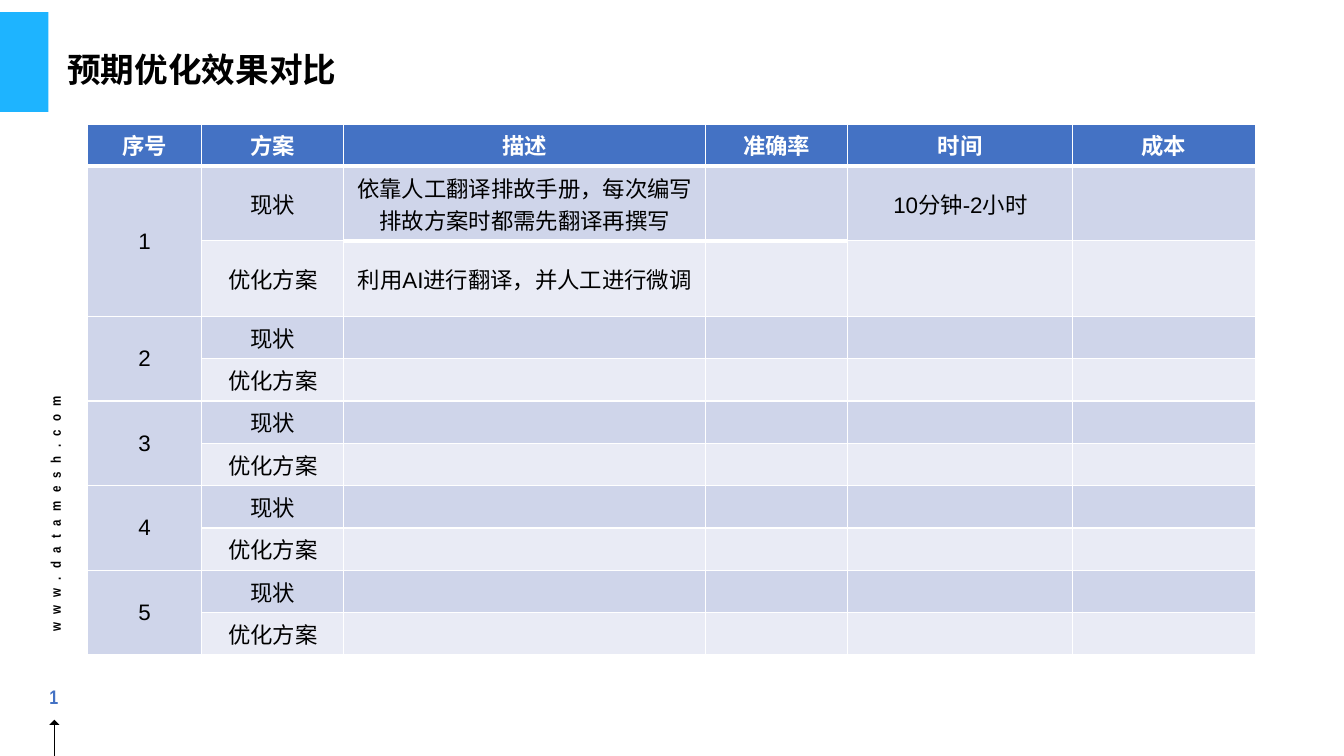
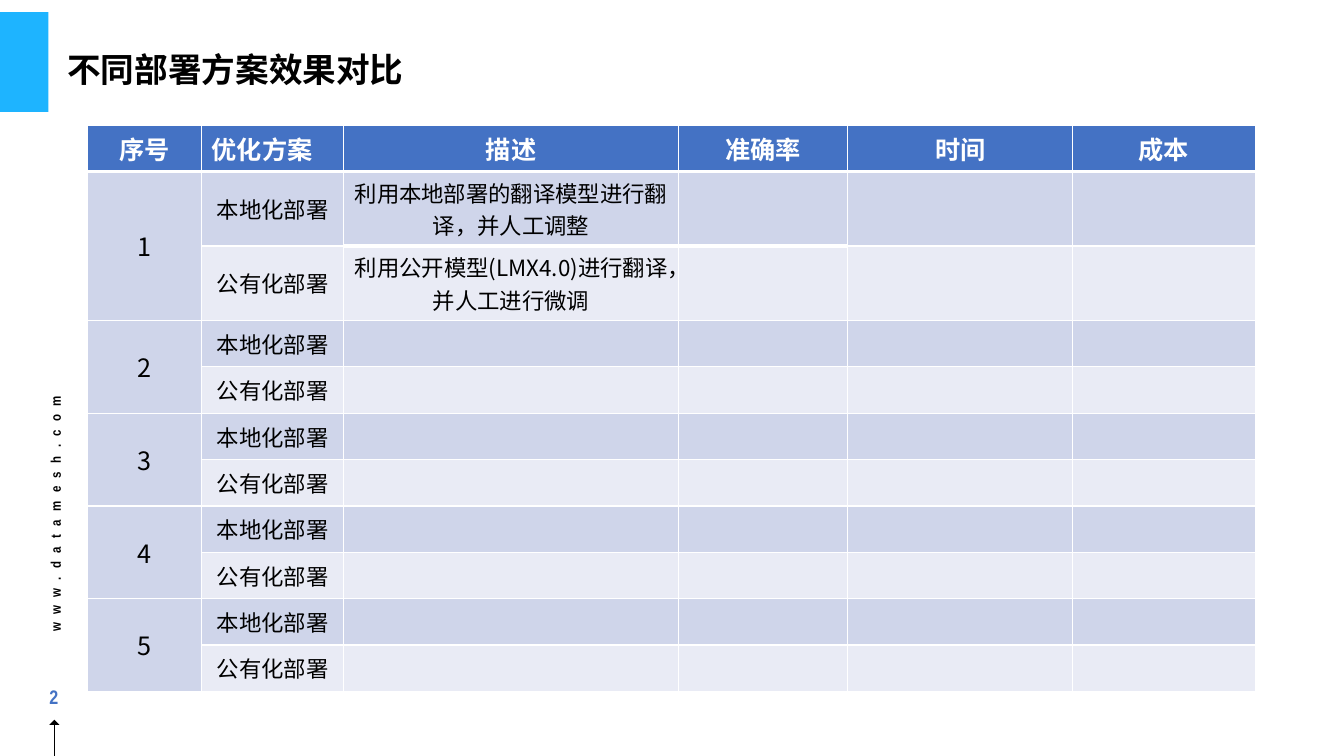
from lxml.etree import SubElement
from pptx import Presentation
from pptx.dml.color import RGBColor
from pptx.enum.shapes import MSO_CONNECTOR, MSO_SHAPE
from pptx.enum.text import MSO_ANCHOR, PP_ALIGN
from pptx.oxml.ns import qn
from pptx.util import Emu, Pt

PX = 9144  # 100 px to the inch
BLACK = RGBColor(0x00, 0x00, 0x00)
WHITE = RGBColor(0xFF, 0xFF, 0xFF)
SKY = RGBColor(0x1E, 0xB4, 0xFF)
BLUE = RGBColor(0x44, 0x72, 0xC4)
DARK = RGBColor(0xCF, 0xD5, 0xEA)
PALE = RGBColor(0xE9, 0xEB, 0xF5)
SANS = "Arial"
SLIM = "Arial Narrow"
HAN = "Noto Sans CJK SC"
SITE = "www.datamesh.com"
THIN, THICK = 1, 3
PAIRS = 5


def px(*sizes):
    return [Emu(size * PX) for size in sizes]


def style(par, size, face, color, bold=False, align=PP_ALIGN.CENTER):
    par.alignment = align
    for run in par.runs:
        font = run.font
        font.size, font.bold, font.name = Pt(size), bold, face
        font.color.rgb = color
        SubElement(run._r.rPr, qn("a:ea"), typeface=HAN)


def add_text(slide, box, text, size, face, color, align=PP_ALIGN.LEFT,
             anchor=MSO_ANCHOR.TOP, wrap=False):
    shape = slide.shapes.add_textbox(*px(*box))
    frame = shape.text_frame
    frame.text = text
    frame.word_wrap = wrap
    frame.vertical_anchor = anchor
    style(frame.paragraphs[0], size, face, color, True, align)
    return shape


def add_block(slide, kind, box, color):
    shape = slide.shapes.add_shape(kind, *px(*box))
    shape.shadow.inherit = False
    shape.fill.solid()
    shape.fill.fore_color.rgb = color
    shape.line.fill.background()


def add_line(slide, ends, color):
    line = slide.shapes.add_connector(MSO_CONNECTOR.STRAIGHT, *px(*ends))
    line.line.color.rgb = color
    line.line.width = Pt(1)
    SubElement(line._element.spPr, qn("a:effectLst"))


def add_frame(slide, title, number):
    # Title with its colour band
    add_block(slide, MSO_SHAPE.RECTANGLE, (0, 12, 48, 99), SKY)
    head = add_text(slide, (57, 18, 1150, 107), title, 24, HAN, BLACK,
                    anchor=MSO_ANCHOR.MIDDLE, wrap=True)
    head.text_frame.paragraphs[0].line_spacing = 0.9
    # Web address up the left edge
    site = add_text(slide, (-72, 496, 254, 27), SITE, 10, SLIM, BLACK)
    site.rotation = 270
    site.text_frame.paragraphs[0].runs[0]._r.rPr.set("spc", "600")
    # Page number over an arrow
    add_text(slide, (19, 664, 69, 54), str(number), 14, SLIM, BLUE,
             PP_ALIGN.CENTER, MSO_ANCHOR.MIDDLE)
    add_line(slide, (54, 715, 54, 750), BLACK)
    add_block(slide, MSO_SHAPE.ISOSCELES_TRIANGLE, (49, 714, 10, 5), BLACK)


def set_edges(cell, top, bottom):
    props = cell._tc.get_or_add_tcPr()
    widths = {"lnL": THIN, "lnR": THIN, "lnT": top, "lnB": bottom}
    for place, (tag, width) in enumerate(widths.items()):
        edge = props.makeelement(qn("a:" + tag), {"w": str(Pt(width))})
        fill = SubElement(edge, qn("a:solidFill"))
        SubElement(fill, qn("a:srgbClr"), val=str(WHITE))
        props.insert(place, edge)


def edge_width(row, col):
    """Width of the rule above a cell."""
    return THICK if row == 1 or (row == 2 and col in (2, 3)) else THIN


def add_grid(slide, top, cols, rows, heads, plans, notes, size, face,
             align=PP_ALIGN.CENTER):
    """Head row, then one pair of plan rows for each numbered item."""
    box = px(87, top, sum(cols), sum(rows))
    grid = slide.shapes.add_table(len(rows), len(cols), *box).table
    for col, width in zip(grid.columns, px(*cols)):
        col.width = width
    for row, height in zip(grid.rows, px(*rows)):
        row.height = height

    # Fill, rules and anchor of every cell
    for r in range(len(rows)):
        for c in range(len(cols)):
            cell = grid.cell(r, c)
            cell.vertical_anchor = MSO_ANCHOR.MIDDLE
            cell.fill.solid()
            cell.fill.fore_color.rgb = BLUE if r == 0 else DARK if r % 2 else PALE
            set_edges(cell, edge_width(r, c), edge_width(r + 1, c))

    def put(r, c, text, *look):
        frame = grid.cell(r, c).text_frame
        frame.text = text
        style(frame.paragraphs[0], *look)

    # Words
    for c, text in enumerate(heads):
        put(0, c, text, size, face, WHITE, True,
            align if c == 1 else PP_ALIGN.CENTER)
    for item in range(PAIRS):
        first = 1 + 2 * item
        grid.cell(first, 0).merge(grid.cell(first + 1, 0))
        put(first, 0, str(item + 1), size, face, BLACK)
        for step, plan in enumerate(plans):
            put(first + step, 1, plan, 16, SANS, BLACK)
    for (r, c), text in notes.items():
        put(r, c, text, 16, face, BLACK)


def main():
    deck = Presentation()
    deck.slide_width, deck.slide_height = px(1333, 750)
    tail = ["描述", "准确率", "时间", "成本"]
    pages = [
        ("预期优化效果对比", dict(
            top=123, cols=[113, 141, 359, 141, 223, 181],
            rows=[42, 74, 75] + [42] * 8,
            heads=["序号", "方案"] + tail, plans=["现状", "优化方案"],
            notes={(1, 2): "依靠人工翻译排故手册，每次编写排故方案时都需先翻译再撰写",
                   (1, 4): "10分钟-2小时",
                   (2, 2): "利用AI进行翻译，并人工进行微调"},
            size=16, face=SANS)),
        ("不同部署方案效果对比", dict(
            top=124, cols=[113, 141, 332, 168, 223, 181],
            rows=[46, 74, 74] + [46] * 8,
            heads=["序号", "优化方案"] + tail, plans=["本地化部署", "公有化部署"],
            notes={(1, 2): "利用本地部署的翻译模型进行翻译，并人工调整",
                   (2, 2): "利用公开模型(LMX4.0)进行翻译，并人工进行微调"},
            size=18, face=HAN, align=PP_ALIGN.LEFT)),
    ]
    for number, (title, grid) in enumerate(pages, 1):
        slide = deck.slides.add_slide(deck.slide_layouts[6])
        add_frame(slide, title, number)
        add_grid(slide, **grid)
    deck.save("out.pptx")


if __name__ == "__main__":
    main()
